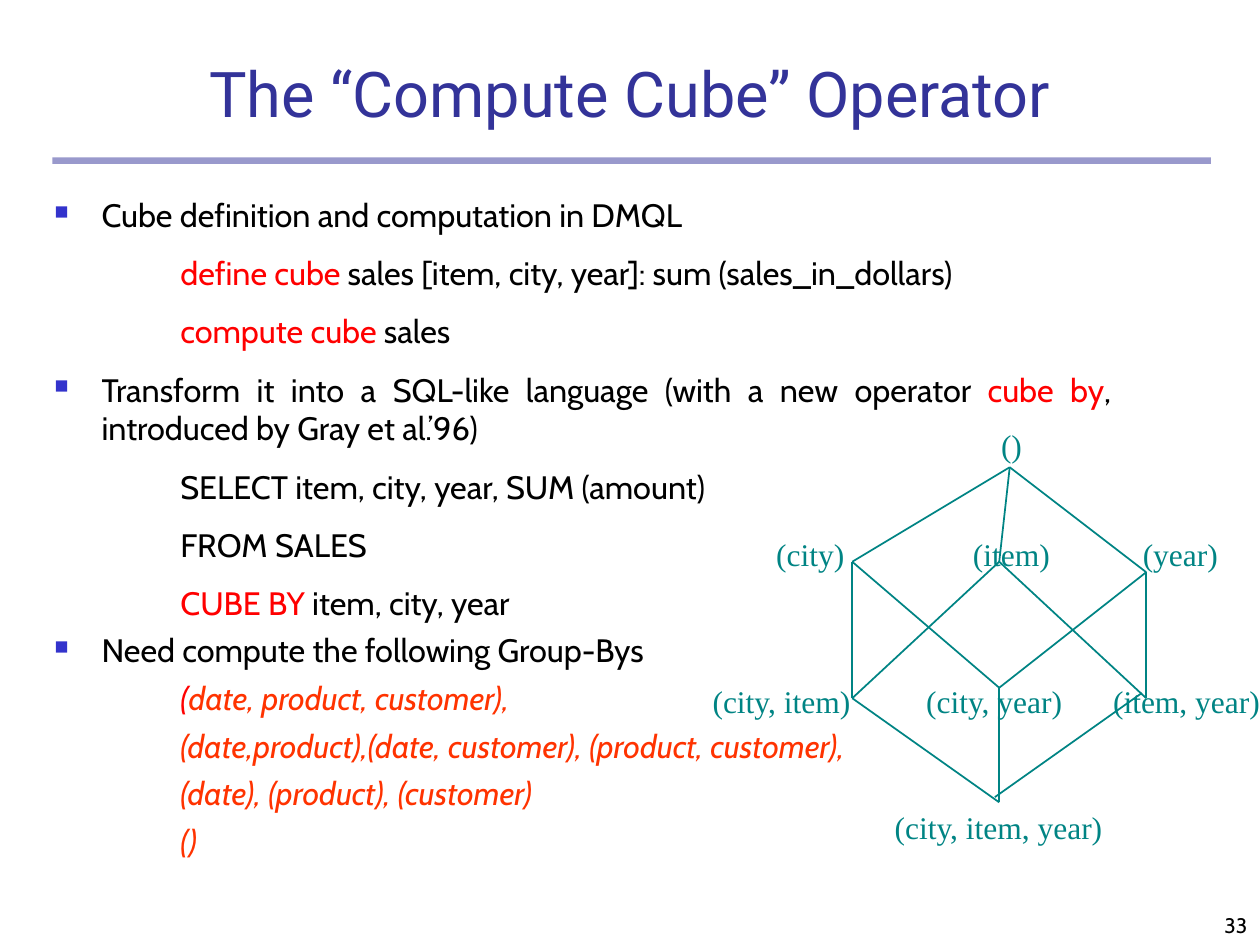
from dataclasses import dataclass

from lxml.etree import SubElement
from pptx import Presentation
from pptx.dml.color import RGBColor
from pptx.enum.shapes import MSO_CONNECTOR, MSO_SHAPE
from pptx.enum.text import MSO_ANCHOR, PP_ALIGN
from pptx.oxml.ns import qn
from pptx.util import Pt


@dataclass(frozen=True)
class Theme:
    title: str = "333399"
    rule: str = "9999CC"
    bullet: str = "3333CC"
    text: str = "000000"
    keyword: str = "FF0000"
    group_by: str = "FF3300"
    lattice: str = "008484"
    title_font: str = "Roboto"
    body_font: str = "Cabin"
    lattice_font: str = "Times New Roman"
    title_size: float = 36
    body_size: float = 18.5
    lattice_size: float = 18
    number_size: float = 12


THEME = Theme()

# Each line: is it bulleted, space after, its (text, colour) pieces
TIGHT, LOOSE = 0, 6
BODY_LINES = [
    (True, LOOSE, [("Cube definition and computation in DMQL", THEME.text)]),
    (False, LOOSE, [("define cube ", THEME.keyword),
                    ("sales [item, city, year]: sum (sales_in_dollars)", THEME.text)]),
    (False, LOOSE, [("compute cube", THEME.keyword), (" sales", THEME.text)]),
    (True, LOOSE, [("Transform it into a SQL-like language (with a new operator ", THEME.text),
                   ("cube by", THEME.keyword),
                   (", introduced by Gray et al.’96)", THEME.text)]),
    (False, LOOSE, [("SELECT item, city, year, SUM (amount)", THEME.text)]),
    (False, LOOSE, [("FROM SALES", THEME.text)]),
    (False, TIGHT, [("CUBE BY", THEME.keyword), (" item, city, year", THEME.text)]),
    (True, TIGHT, [("Need compute the following Group-Bys", THEME.text)]),
    (False, TIGHT, [("(", THEME.keyword), ("date, product, customer),", THEME.group_by)]),
    (False, TIGHT, [("(date,product),(date, customer), (product, customer),", THEME.group_by)]),
    (False, TIGHT, [("(date), (product), (customer)", THEME.group_by)]),
    (False, TIGHT, [("()", THEME.group_by)]),
]

# Cuboid: its point, then the right edge, top and width of its label
LEFT, MIDDLE, RIGHT = 81, 165, 249
CUBOIDS = {
    "()": ((171, 27), (178, 3.5, 12)),
    "(city)": ((LEFT, 81), (76.5, 66, 39)),
    "(item)": ((MIDDLE, 81), (194, 66, 72)),
    "(year)": ((RIGHT, 87), (290, 66, 43)),
    "(city, item)": ((LEFT, 159), (80, 150, 80)),
    "(city, year)": ((MIDDLE, 153), (201, 150, 79)),
    "(item, year)": ((RIGHT, 159), (314, 150, 84)),
    "(city, item, year)": ((MIDDLE, 218.5), (224, 222, 120)),
}


def attributes(cuboid):
    return set(cuboid.strip("()").split(", ")) - {""}


def style(run, font, size, colour, italic=False):
    run.font.name = font
    run.font.size = Pt(size)
    run.font.color.rgb = RGBColor.from_string(colour)
    run.font.italic = italic


def add_title(slide, left, top, width, height):
    title = slide.shapes.title
    title.left, title.top, title.width, title.height = map(Pt, (left, top, width, height))
    frame = title.text_frame
    frame.text = "The “Compute Cube” Operator"
    frame.vertical_anchor = MSO_ANCHOR.BOTTOM
    frame.paragraphs[0].alignment = PP_ALIGN.CENTER
    style(frame.paragraphs[0].runs[0], THEME.title_font, THEME.title_size, THEME.title)

    rule = slide.shapes.add_shape(MSO_SHAPE.RECTANGLE, Pt(left), Pt(top + 66),
                                  Pt(width + 2), Pt(3.75))
    rule.shadow.inherit = False
    rule.fill.solid()
    rule.fill.fore_color.rgb = RGBColor.from_string(THEME.rule)
    rule.line.fill.background()


def set_indent(paragraph, margin, first_line, bulleted):
    properties = paragraph._p.get_or_add_pPr()
    properties.set("marL", str(Pt(margin)))
    properties.set("indent", str(Pt(first_line)))
    if bulleted:
        colour = SubElement(properties, qn("a:buClr"))
        SubElement(colour, qn("a:srgbClr")).set("val", THEME.bullet)
        SubElement(properties, qn("a:buSzPct")).set("val", "60000")
        SubElement(properties, qn("a:buChar")).set("char", "■")
    else:
        SubElement(properties, qn("a:buNone"))


def add_body(slide, left, top, width, height):
    frame = slide.shapes.add_textbox(*map(Pt, (left, top, width, height))).text_frame
    frame.word_wrap = True
    for index, (bulleted, space_after, pieces) in enumerate(BODY_LINES):
        paragraph = frame.add_paragraph() if index else frame.paragraphs[0]
        paragraph.alignment = PP_ALIGN.JUSTIFY
        paragraph.space_before, paragraph.space_after = Pt(5), Pt(space_after)
        if bulleted:
            set_indent(paragraph, 27, -27, True)
        else:
            paragraph.level = 1
            set_indent(paragraph, 90, -18, False)
        italic = pieces[-1][1] == THEME.group_by
        for text, colour in pieces:
            run = paragraph.add_run()
            run.text = text
            style(run, THEME.body_font, THEME.body_size, colour, italic)


def add_edge(group, start, end):
    edge = group.shapes.add_connector(MSO_CONNECTOR.STRAIGHT, *map(Pt, start + end))
    edge.line.color.rgb = RGBColor.from_string(THEME.lattice)
    edge.line.width = Pt(1)
    SubElement(edge._element.spPr, qn("a:effectLst"))


def add_label(shapes, text, box, font, size, colour):
    """Right-aligned single line without insets."""
    frame = shapes.add_textbox(*map(Pt, box)).text_frame
    frame.margin_left = frame.margin_right = frame.margin_top = frame.margin_bottom = 0
    frame.word_wrap = False
    frame.text = text
    frame.paragraphs[0].alignment = PP_ALIGN.RIGHT
    style(frame.paragraphs[0].runs[0], font, size, colour)


def add_lattice(slide, left, top):
    """Join each cuboid to those that have exactly one more attribute."""
    group = slide.shapes.add_group_shape()
    points = {name: (left + x, top + y) for name, ((x, y), _) in CUBOIDS.items()}
    for upper in CUBOIDS:
        for lower in CUBOIDS:
            added = attributes(lower) - attributes(upper)
            if len(added) == 1 and attributes(upper) < attributes(lower):
                start, end = points[upper], points[lower]
                if upper == "(item, year)":
                    start, end = [(x - 2.5, y - 3) for x, y in (start, end)]
                add_edge(group, start, end)
    for name, (_, (right, label_top, width)) in CUBOIDS.items():
        box = (left + right - width, top + label_top, width, 21.5)
        add_label(group.shapes, name, box, THEME.lattice_font, THEME.lattice_size, THEME.lattice)


def main():
    deck = Presentation()
    deck.slide_width, deck.slide_height = Pt(720), Pt(540)
    slide = deck.slides.add_slide(deck.slide_layouts[5])
    add_title(slide, 30, 24, 660, 54)
    add_body(slide, 24, 108, 618, 408)
    add_lattice(slide, 406, 240)
    add_label(slide.shapes, "33", (570, 521.5, 142.8, 15), THEME.body_font,
              THEME.number_size, THEME.text)
    deck.save("out.pptx")


if __name__ == "__main__":
    main()
